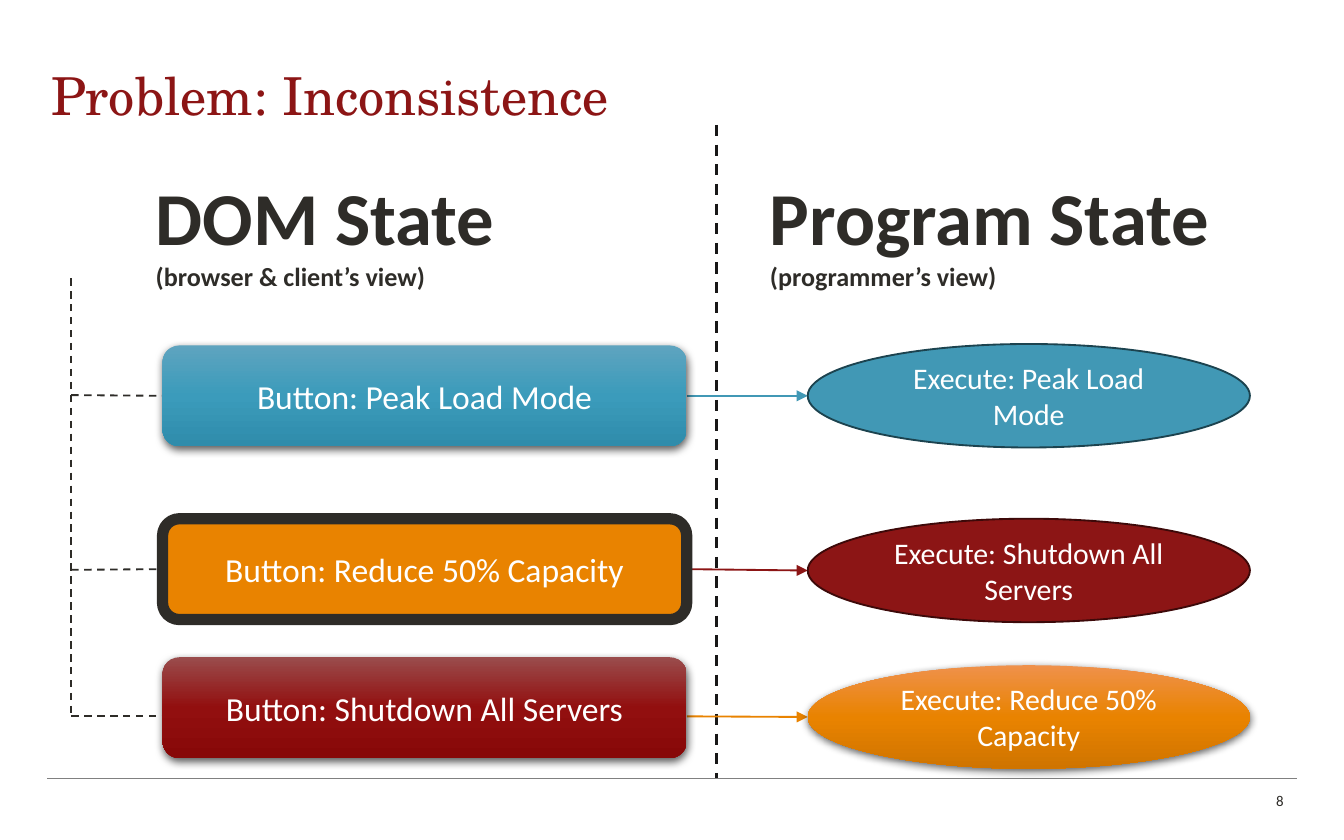
import pptx
import pptx.dml.color
import pptx.enum.dml
import pptx.enum.shapes
import pptx.enum.text
import pptx.oxml
import pptx.oxml.ns
import pptx.util
from copy import deepcopy
from dataclasses import dataclass

Inches, Pt = pptx.util.Inches, pptx.util.Pt
Kind = pptx.enum.shapes.MSO_SHAPE
Align = pptx.enum.text.PP_ALIGN
Anchor = pptx.enum.text.MSO_ANCHOR
Dash = pptx.enum.dml.MSO_LINE.DASH
NS = pptx.oxml.ns.nsdecls("a")


@dataclass(frozen=True)
class Theme:
    # Colours
    ink: str = "2E2C28"
    dark: str = "181717"
    grey: str = "808080"
    white: str = "FFFFFF"
    blue: str = "4198B5"
    navy: str = "1C434F"
    red: str = "8C1515"
    wine: str = "3D0909"
    gold: str = "E98300"
    blues: tuple = ("5EA4BF", "3B9BBB", "2F8CAB")
    reds: tuple = ("9A4C4C", "920F0F", "870808")
    golds: tuple = ("EF914B", "E98300", "CF7400")
    # Fonts and type sizes
    serif: str = "TeX Gyre Schola"
    sans: str = "Calibri"
    title: int = 28
    head: int = 40
    sub: int = 14
    button: int = 18
    action: int = 16
    foot: int = 8


def rgb(code):
    return pptx.dml.color.RGBColor.from_string(code)


def apply(item, values):
    for name, value in values.items():
        setattr(item, name, value)


class Deck:
    def __init__(self, theme):
        self.theme = theme
        self.file = pptx.Presentation()
        self.file.slide_width, self.file.slide_height = Inches(10), Inches(6.25)
        self.slide = self.file.slides.add_slide(self.file.slide_layouts[6])

    def fill_text(self, frame, rows, color, font, bold=None, align=Align.LEFT, **form):
        apply(frame, {"word_wrap": True, **form})
        for i, (words, size) in enumerate(rows):
            para = frame.add_paragraph() if i else frame.paragraphs[0]
            para.alignment = align
            run = para.add_run()
            run.text = words
            apply(run.font, {"size": Pt(size), "name": font, "bold": bold})
            run.font.color.rgb = rgb(color)
        return frame

    def text(self, spot, rows, color=None, font=None, **form):
        box = self.slide.shapes.add_textbox(*map(Inches, spot))
        return self.fill_text(box.text_frame, rows, color or self.theme.ink,
                              font or self.theme.sans, **form)

    def shade(self, shape, colors):
        # Vertical gradient of three stops with a soft shadow below
        shape.fill.gradient()
        shape.fill.gradient_angle = 270
        stops = shape._element.spPr.find(".//" + pptx.oxml.ns.qn("a:gsLst"))
        stops.insert(1, deepcopy(stops[0]))
        for i, (stop, color) in enumerate(zip(shape.fill.gradient_stops, colors)):
            stop.position = i / 2
            stop.color.rgb = rgb(color)
        effect = shape._element.spPr.find(pptx.oxml.ns.qn("a:effectLst"))
        effect.append(pptx.oxml.parse_xml(
            f'<a:outerShdw {NS} blurRad="{Pt(4.5)}" dist="{Pt(1.5)}" dir="5400000" '
            'rotWithShape="0"><a:srgbClr val="000000"><a:alpha val="63000"/>'
            '</a:srgbClr></a:outerShdw>'))

    def shape(self, kind, spot, words, size, fill, edge=None, width=1):
        item = self.slide.shapes.add_shape(kind, *map(Inches, spot))
        item.shadow.inherit = False
        if isinstance(fill, tuple):
            self.shade(item, fill)
        else:
            item.fill.solid()
            item.fill.fore_color.rgb = rgb(fill)
        if edge:
            item.line.color.rgb = rgb(edge)
            item.line.width = Pt(width)
        else:
            item.line.fill.background()
        self.fill_text(item.text_frame, [(words, size)], self.theme.white,
                       self.theme.sans, align=Align.CENTER,
                       vertical_anchor=Anchor.MIDDLE)
        return item

    def line(self, ends, color, width=1, dash=None, arrow=False):
        item = self.slide.shapes.add_connector(
            pptx.enum.shapes.MSO_CONNECTOR.STRAIGHT, *map(Inches, ends))
        item.line.color.rgb = rgb(color)
        apply(item.line, {"width": Pt(width), "dash_style": dash})
        if arrow:
            item.line._get_or_add_ln().append(
                pptx.oxml.parse_xml(f'<a:tailEnd {NS} type="triangle"/>'))
        item._element.spPr.append(pptx.oxml.parse_xml(f"<a:effectLst {NS}/>"))
        return item


def main():
    look = Theme()
    deck = Deck(look)

    # Title, footer rule and page number
    deck.line((0.35, 5.79, 9.65, 5.79), look.grey, 0.25)
    title = deck.text((0.38, 0.42, 4.51, 0.63), [("Problem: Inconsistence", look.title)],
                      look.red, look.serif, vertical_anchor=Anchor.MIDDLE,
                      margin_left=0, margin_right=0)
    title.paragraphs[0].line_spacing = 0.9
    deck.text((7.4, 5.79, 2.25, 0.33), [("8", look.foot)], align=Align.RIGHT,
              vertical_anchor=Anchor.MIDDLE)

    # Divider and column heads
    deck.line((5.33, 0.93, 5.33, 5.79), look.dark, 1.5, Dash)
    for left, wide, head, sub in (
            (1.06, 4.05, "DOM State", "(browser & client’s view)"),
            (5.63, 3.85, "Program State", "(programmer’s view)")):
        deck.text((left, 1.22, wide, 1.01), [(head, look.head), (sub, look.sub)], bold=True)

    # Tree trunk, then one row each: branch, arrow, button, action
    trunk, left, wide, tall = 0.53, 1.21, 3.9, 0.75
    right, goal, span, high = left + wide, 6.01, 3.29, 0.77
    deck.line((trunk, 2.07, trunk, 5.34), look.ink, dash=Dash)
    rows = (
        (2.57, 2.56, 2.94, True, look.blue,
         "Button: Peak Load Mode", (look.blues,),
         "Execute: Peak Load Mode", (look.blue, look.navy)),
        (3.86, 3.86, 4.24, True, look.red,
         "Button: Reduce 50% Capacity", (look.gold, look.ink, 6),
         "Execute: Shutdown All Servers", (look.red, look.wine)),
        (4.89, 4.95, 5.33, False, look.gold,
         "Button: Shutdown All Servers", (look.reds,),
         "Execute: Reduce 50% Capacity", (look.golds,)),
    )
    for top, peak, mid, joined, color, label, paint, act, tint in rows:
        branch = deck.line((trunk, mid, left, mid), look.ink, dash=Dash)
        arrow = deck.line((right, mid, goal, peak + high / 2), color, arrow=True)
        button = deck.shape(Kind.ROUNDED_RECTANGLE, (left, top, wide, tall),
                            label, look.button, *paint)
        if joined:
            branch.end_connect(button, 1)
            arrow.begin_connect(button, 3)
        deck.shape(Kind.OVAL, (goal, peak, span, high), act, look.action, *tint)

    deck.file.save("out.pptx")


if __name__ == "__main__":
    main()
